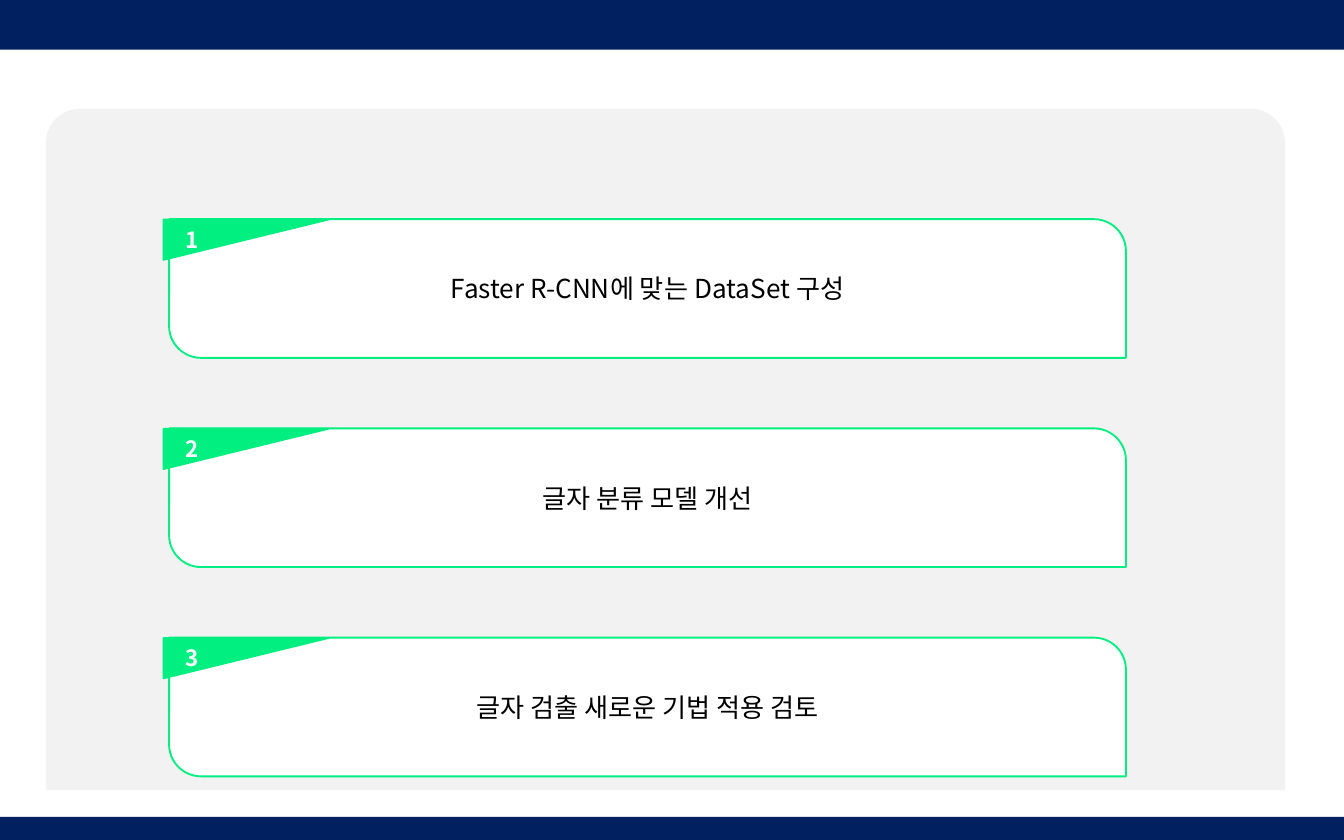
"""Build a slide listing three numbered improvement plans on cards."""
from dataclasses import dataclass

from lxml import etree
from pptx import Presentation
from pptx.dml.color import RGBColor
from pptx.enum.shapes import MSO_SHAPE
from pptx.enum.text import MSO_ANCHOR, PP_ALIGN
from pptx.oxml.ns import qn
from pptx.util import Pt

RECTANGLE = MSO_SHAPE.RECTANGLE
PANEL_SHAPE = MSO_SHAPE.ROUND_2_SAME_RECTANGLE
CARD_SHAPE = MSO_SHAPE.ROUND_2_DIAG_RECTANGLE
TRIANGLE = MSO_SHAPE.RIGHT_TRIANGLE
LEFT, CENTER = PP_ALIGN.LEFT, PP_ALIGN.CENTER
TOP, MIDDLE = MSO_ANCHOR.TOP, MSO_ANCHOR.MIDDLE


@dataclass(frozen=True)
class Theme:
    navy: RGBColor = RGBColor(0x00, 0x20, 0x60)
    panel: RGBColor = RGBColor(0xF2, 0xF2, 0xF2)
    accent: RGBColor = RGBColor(0x00, 0xEF, 0x80)
    white: RGBColor = RGBColor(0xFF, 0xFF, 0xFF)
    black: RGBColor = RGBColor(0x00, 0x00, 0x00)
    font: str = "Noto Sans CJK KR"
    plan_size: int = 14
    number_size: int = 12


THEME = Theme()
SLIDE_WIDTH, SLIDE_HEIGHT = 720, 450
FOOTER_HEIGHT = 12.4
CARD_TOP, CARD_PITCH = 117.4, 112.1
PLANS = (
    "Faster R-CNN에 맞는 DataSet 구성",
    "글자 분류 모델 개선",
    "글자 검출 새로운 기법 적용 검토",
)


def add_block(slide, kind, box, fill, line=None, adjustments=()):
    shape = slide.shapes.add_shape(kind, *map(Pt, box))
    shape.shadow.inherit = False
    shape.fill.solid()
    shape.fill.fore_color.rgb = fill
    if line is None:
        shape.line.fill.background()
    else:
        shape.line.color.rgb = line
        shape.line.width = Pt(1)
    for index, value in enumerate(adjustments):
        shape.adjustments[index] = value
    return shape


def write_text(shape, text, size, color, alignment, anchor, bold=False):
    frame = shape.text_frame
    frame.word_wrap = True
    frame.vertical_anchor = anchor
    paragraph = frame.paragraphs[0]
    paragraph.text = text
    paragraph.alignment = alignment
    font = paragraph.font
    font.name = THEME.font
    font.size = Pt(size)
    font.bold = bold
    font.color.rgb = color
    properties = paragraph._p.get_or_add_pPr().find(qn("a:defRPr"))
    etree.SubElement(properties, qn("a:ea")).set("typeface", THEME.font)


def add_plan(slide, number, text, top):
    card = add_block(slide, CARD_SHAPE, (90.6, top, 512.6, 74.3),
                     THEME.white, THEME.accent, (0, 0.23))
    write_text(card, text, THEME.plan_size, THEME.black, CENTER, MIDDLE)
    flag = add_block(slide, TRIANGLE, (121, top - 33.2, 21.6, 88.4),
                     THEME.accent, THEME.accent)
    flag.rotation = 90
    label = slide.shapes.add_textbox(Pt(92.2), Pt(top), Pt(22), Pt(22))
    write_text(label, str(number), THEME.number_size, THEME.white, LEFT, TOP, True)


def main():
    presentation = Presentation()
    presentation.slide_width = Pt(SLIDE_WIDTH)
    presentation.slide_height = Pt(SLIDE_HEIGHT)
    slide = presentation.slides.add_slide(presentation.slide_layouts[6])
    add_block(slide, RECTANGLE, (0, 0, SLIDE_WIDTH, 26.6), THEME.navy)
    add_block(slide, RECTANGLE,
              (0, SLIDE_HEIGHT - FOOTER_HEIGHT, SLIDE_WIDTH, FOOTER_HEIGHT), THEME.navy)
    add_block(slide, PANEL_SHAPE, (24.6, 58.3, 663.8, 365),
              THEME.panel, adjustments=(0.05, 0))
    for index, text in enumerate(PLANS):
        add_plan(slide, index + 1, text, CARD_TOP + index * CARD_PITCH)
    presentation.save("out.pptx")


if __name__ == "__main__":
    main()
